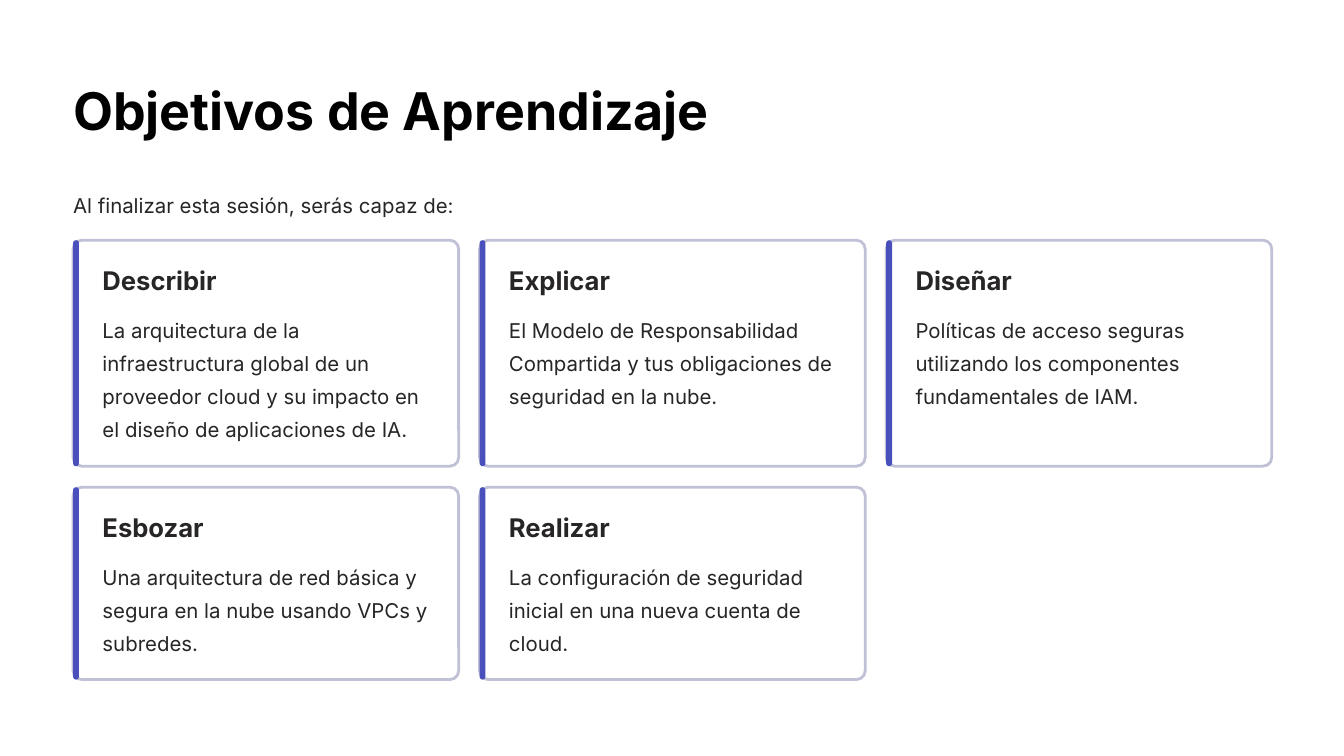
from pptx import Presentation
from pptx.dml.color import RGBColor
from pptx.enum.shapes import MSO_SHAPE
from pptx.util import Emu, Pt

ROUNDED = MSO_SHAPE.ROUNDED_RECTANGLE
PX = 9144  # 100 px to the inch

THEME = {
    "font": "Inter",
    "background": RGBColor.from_string("FFFFFF"),
    "border": RGBColor.from_string("C0C1D7"),
    "accent": RGBColor.from_string("4950BC"),
    # size, line spacing, bold, colour
    "title": (44.5, 55.5, True, RGBColor.from_string("000000")),
    "heading": (22, 27.5, True, RGBColor.from_string("272525")),
    "body": (17.5, 28.5, False, RGBColor.from_string("272525")),
}

presentation = Presentation()
presentation.slide_width = Emu(1600 * PX)
presentation.slide_height = Emu(900 * PX)
slide = presentation.slides.add_slide(presentation.slide_layouts[6])
slide.background.fill.solid()
slide.background.fill.fore_color.rgb = THEME["background"]


def add_text(text, style, left, top, width, height, wrap=False):
    size, spacing, bold, color = THEME[style]
    box = slide.shapes.add_textbox(*(Emu(n * PX) for n in (left, top, width, height)))
    frame = box.text_frame
    frame.word_wrap = wrap
    frame.margin_left = frame.margin_right = frame.margin_top = frame.margin_bottom = 0
    paragraph = frame.paragraphs[0]
    paragraph.line_spacing = Pt(spacing)
    run = paragraph.add_run()
    run.text = text
    run.font.name = THEME["font"]
    run.font.size = Pt(size)
    run.font.bold = bold
    run.font.color.rgb = color


def add_panel(left, top, width, height, radius, fill):
    shape = slide.shapes.add_shape(ROUNDED, *(Emu(n * PX) for n in (left, top, width, height)))
    shape.shadow.inherit = False
    shape.adjustments[0] = min(0.5, radius / min(width, height))
    shape.fill.solid()
    shape.fill.fore_color.rgb = fill
    shape.line.fill.background()
    return shape


# Title and introduction
LEFT = 87
add_text("Objetivos de Aprendizaje", "title", LEFT, 91, 760, 78)
add_text("Al finalizar esta sesión, serás capaz de:", "body", LEFT, 219, 1426, 40)

# Objective cards, row by row
CARD_WIDTH, GAP, RADIUS, INDENT = 459, 25, 10.4, 35
CARD_ROWS = [
    (269, [
        ("Describir", "La arquitectura de la infraestructura global de un proveedor cloud "
                      "y su impacto en el diseño de aplicaciones de IA."),
        ("Explicar", "El Modelo de Responsabilidad Compartida y tus obligaciones de "
                     "seguridad en la nube."),
        ("Diseñar", "Políticas de acceso seguras utilizando los componentes "
                    "fundamentales de IAM."),
    ]),
    (229, [
        ("Esbozar", "Una arquitectura de red básica y segura en la nube usando VPCs y "
                    "subredes."),
        ("Realizar", "La configuración de seguridad inicial en una nueva cuenta de "
                     "cloud."),
    ]),
]

top = 286
for height, cards in CARD_ROWS:
    for column, (heading, description) in enumerate(cards):
        left = LEFT + column * (CARD_WIDTH + GAP)
        card = add_panel(left, top, CARD_WIDTH, height, RADIUS, THEME["background"])
        card.line.color.rgb = THEME["border"]
        card.line.width = Pt(2.4)
        add_panel(left, top, 7, height, RADIUS, THEME["accent"])
        add_text(heading, "heading", left + INDENT, top + 28, 310, 39)
        add_text(description, "body", left + INDENT, top + 82, 396, height - 110, wrap=True)
    top += height + GAP

presentation.save("out.pptx")
